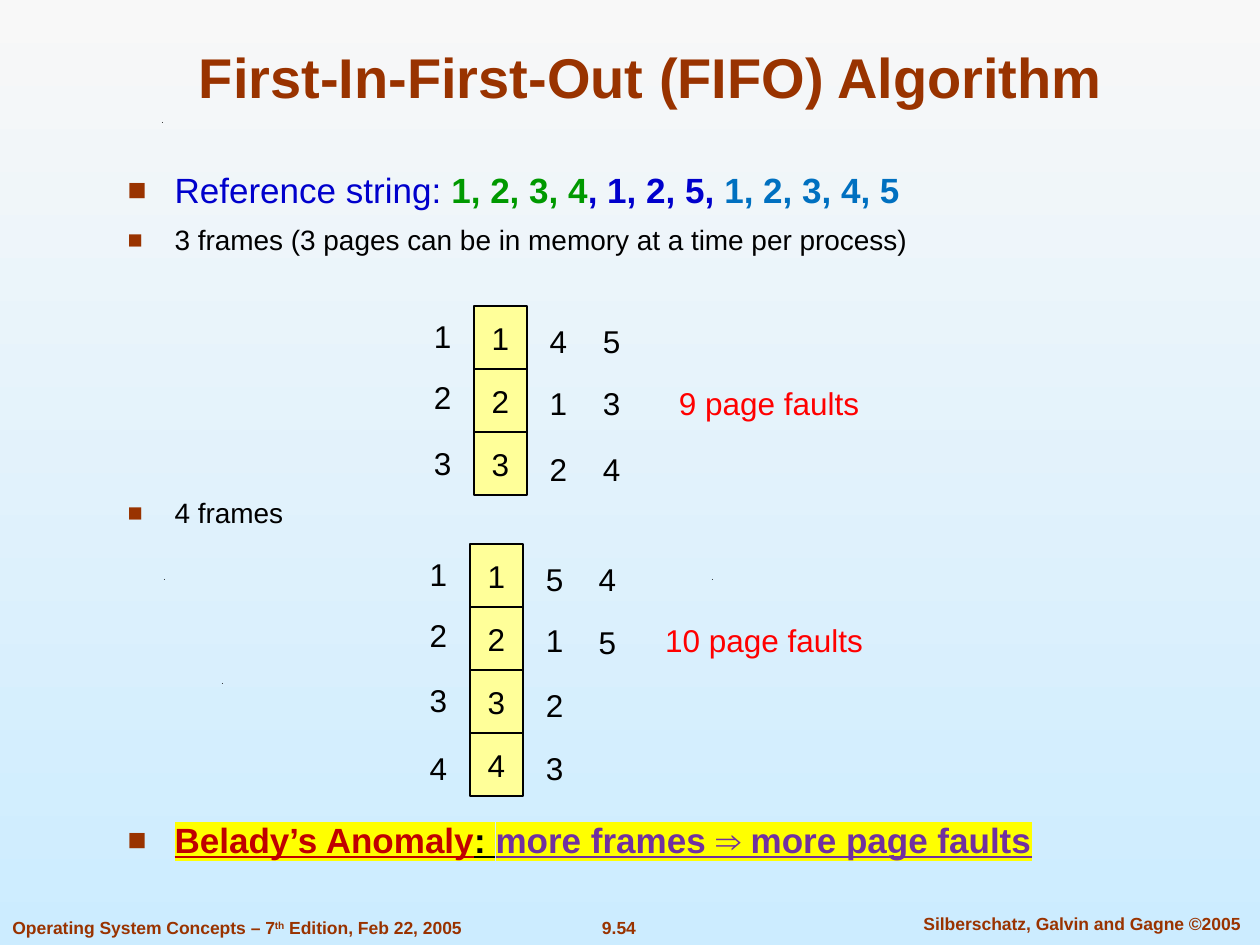
import lxml.etree
import pptx
import pptx.dml.color
import pptx.enum.shapes
import pptx.enum.text
import pptx.oxml.ns
import pptx.util

COLORS = {
    "sky_top": "F8F8F8", "sky_bottom": "CCECFF", "brown": "993300",
    "blue": "0000CC", "green": "009900", "light_blue": "0070C0",
    "black": "000000", "dark_red": "C00000", "purple": "7030A0",
    "yellow": "FFFF00", "cell": "FFFF99", "red": "FF0000",
}
ALIGN = pptx.enum.text.PP_ALIGN
ANCHOR = pptx.enum.text.MSO_ANCHOR
CELL_WIDTH, CELL_HEIGHT = 53, 63
LABEL_WIDTH, LABEL_HEIGHT = 43, 50

BULLETS = [
    (0, 20, [("Reference string: ", "blue", False),
             ("1, 2, 3, 4", "green", True),
             (", 1, 2, 5, ", "blue", True),
             ("1, 2, 3, 4, 5", "light_blue", True)]),
    (7, 16, [("3 frames (3 pages can be in memory at a time per process)", "black", False)]),
    (137, 16, [("4 frames", "black", False)]),
    (165, 20, [("Belady’s Anomaly", "dark_red", True),
               (": ", "black", True),
               ("more frames ⇒ more page faults", "purple", True)]),
]

FRAME_TABLES = [
    {"left": 474, "top": 306, "cells": "123",
     "columns": [(-53, "123", (5, 66, 132)),
                 (63, "412", (10, 72, 138)),
                 (116, "534", (10, 72, 138))],
     "faults": ("9 page faults", 653, 378, 232)},
    {"left": 470, "top": 544, "cells": "1234",
     "columns": [(-53, "1234", (5, 66, 131, 199)),
                 (63, "5123", (10, 71, 136, 199)),
                 (116, "45", (10, 73))],
     "faults": ("10 page faults", 640, 615, 248)},
]


def px(length):
    """Turn pixels into EMU."""
    return round(length * 914400 / 126)


def color(name):
    """Look up a named colour."""
    return pptx.dml.color.RGBColor.from_string(COLORS[name])


def style(span, size, tint, bold=False):
    """Set the font of one run."""
    span.font.name = "Arial"
    span.font.size = pptx.util.Pt(size)
    span.font.bold = bold
    span.font.color.rgb = color(tint)


def place(box, left, top, width, height):
    """Move and size a shape."""
    box.left, box.top, box.width, box.height = map(px, (left, top, width, height))


def fill_background(page):
    """Paint the vertical gradient."""
    fill = page.background.fill
    fill.gradient()
    fill.gradient_angle = 270
    for stop, name in zip(fill.gradient_stops, ("sky_top", "sky_bottom")):
        stop.color.rgb = color(name)


def add_speck(page, left, top):
    """Draw one tiny triangular speck."""
    builder = page.shapes.build_freeform(px(left), px(top + 1))
    builder.add_line_segments([(px(left + 1), px(top)), (px(left + 1), px(top + 1))])
    speck = builder.convert_to_shape()
    speck.shadow.inherit = False
    speck.fill.solid()
    speck.fill.fore_color.rgb = color("black")
    speck.line.fill.background()


def add_label(page, text, left, top, width, height=LABEL_HEIGHT, size=18,
              tint="black", bold=False, align=ALIGN.CENTER,
              anchor=ANCHOR.MIDDLE, wrap=False):
    """Add a one-line text box."""
    box = page.shapes.add_textbox(px(left), px(top), px(width), px(height))
    frame = box.text_frame
    frame.word_wrap = wrap
    frame.vertical_anchor = anchor
    frame.text = text
    para = frame.paragraphs[0]
    para.alignment = align
    style(para.runs[0], size, tint, bold)
    return para


def add_footer(page, text, left, top, width, align=ALIGN.CENTER, wrap=False):
    """Add a footer text."""
    return add_label(page, text, left, top, width, 34, 10, "brown", True,
                     align, ANCHOR.TOP, wrap)


def add_footers(page):
    """Add the three footer texts."""
    add_footer(page, "9.54", 588, 911, 62)
    add_footer(page, "Silberschatz, Galvin and Gagne ©2005", 895, 907, 374, wrap=True)
    para = add_footer(page, "Operating System Concepts – 7", 0, 911, 476, ALIGN.LEFT)
    for text, baseline in (("th", "30000"), (" Edition, Feb 22, 2005", "0")):
        span = para.add_run()
        span.text = text
        style(span, 10, "brown", True)
        span.font._element.set("baseline", baseline)


def set_title(page):
    """Fill the title placeholder."""
    title = page.shapes.title
    place(title, 95, 32, 1112, 84)
    frame = title.text_frame
    frame.auto_size = pptx.enum.text.MSO_AUTO_SIZE.NONE
    frame.vertical_anchor = ANCHOR.BOTTOM
    frame.text = "First-In-First-Out (FIFO) Algorithm"
    para = frame.paragraphs[0]
    para.alignment = ALIGN.CENTER
    style(para.runs[0], 32, "brown", True)


def add_bullet(para):
    """Give a paragraph a brown square bullet and a hanging indent."""
    properties = para._p.get_or_add_pPr()
    properties.set("marL", str(px(47)))
    properties.set("indent", str(px(-47)))
    qn = pptx.oxml.ns.qn
    tint = lxml.etree.SubElement(properties, qn("a:buClr"))
    lxml.etree.SubElement(tint, qn("a:srgbClr"), val=COLORS["brown"])
    lxml.etree.SubElement(properties, qn("a:buSzPct"), val="90000")
    lxml.etree.SubElement(properties, qn("a:buFont"), typeface="Arial")
    lxml.etree.SubElement(properties, qn("a:buChar"), char="■")


def highlight(span):
    """Underline a run and mark it yellow."""
    span.font.underline = True
    qn = pptx.oxml.ns.qn
    mark = lxml.etree.Element(qn("a:highlight"))
    lxml.etree.SubElement(mark, qn("a:srgbClr"), val=COLORS["yellow"])
    span.font._element.find(qn("a:solidFill")).addnext(mark)


def set_body(page):
    """Fill the body placeholder with the bullet list."""
    body = page.placeholders[1]
    place(body, 115, 162, 969, 783)
    frame = body.text_frame
    frame.auto_size = pptx.enum.text.MSO_AUTO_SIZE.NONE
    frame.vertical_anchor = ANCHOR.TOP
    for index, (gap, size, parts) in enumerate(BULLETS):
        para = frame.add_paragraph() if index else frame.paragraphs[0]
        add_bullet(para)
        para.space_before = pptx.util.Pt(gap)
        for text, tint, bold in parts:
            span = para.add_run()
            span.text = text
            style(span, size, tint, bold)
            if para is not frame.paragraphs[0] and index == len(BULLETS) - 1:
                highlight(span)


def add_cell(page, text, left, top):
    """Add one yellow memory frame."""
    cell = page.shapes.add_shape(pptx.enum.shapes.MSO_SHAPE.RECTANGLE,
                                 px(left), px(top), px(CELL_WIDTH), px(CELL_HEIGHT))
    cell.shadow.inherit = False
    cell.fill.solid()
    cell.fill.fore_color.rgb = color("cell")
    cell.line.color.rgb = color("black")
    cell.line.width = pptx.util.Pt(0.75)
    frame = cell.text_frame
    frame.word_wrap = False
    frame.vertical_anchor = ANCHOR.MIDDLE
    frame.text = text
    para = frame.paragraphs[0]
    para.alignment = ALIGN.CENTER
    style(para.runs[0], 18, "black")


def add_frame_table(page, left, top, cells, columns, faults):
    """Add a stack of memory frames with its page numbers and fault count."""
    for row, text in enumerate(cells):
        add_cell(page, text, left, top + row * CELL_HEIGHT)
    for shift, numbers, drops in columns:
        for text, drop in zip(numbers, drops):
            add_label(page, text, left + shift, top + drop, LABEL_WIDTH)
    add_label(page, *faults, tint="red", wrap=True)


def main():
    """Build and save the deck."""
    deck = pptx.Presentation()
    deck.slide_width, deck.slide_height = px(1260), px(945)
    page = deck.slides.add_slide(deck.slide_layouts[1])
    fill_background(page)
    for left, top in ((222, 683), (164, 579), (712, 579), (162, 122)):
        add_speck(page, left, top)
    add_footers(page)
    set_title(page)
    set_body(page)
    for table in FRAME_TABLES:
        add_frame_table(page, **table)
    deck.save("out.pptx")


if __name__ == "__main__":
    main()
